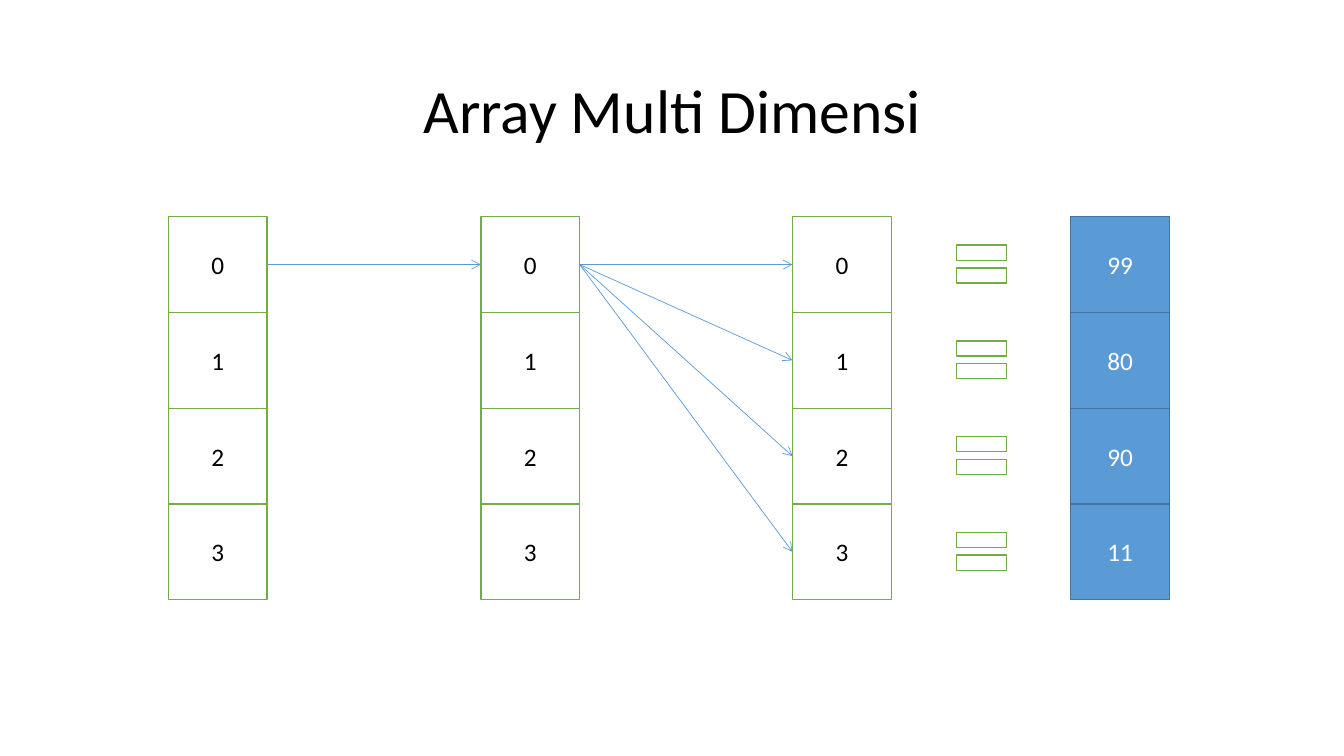
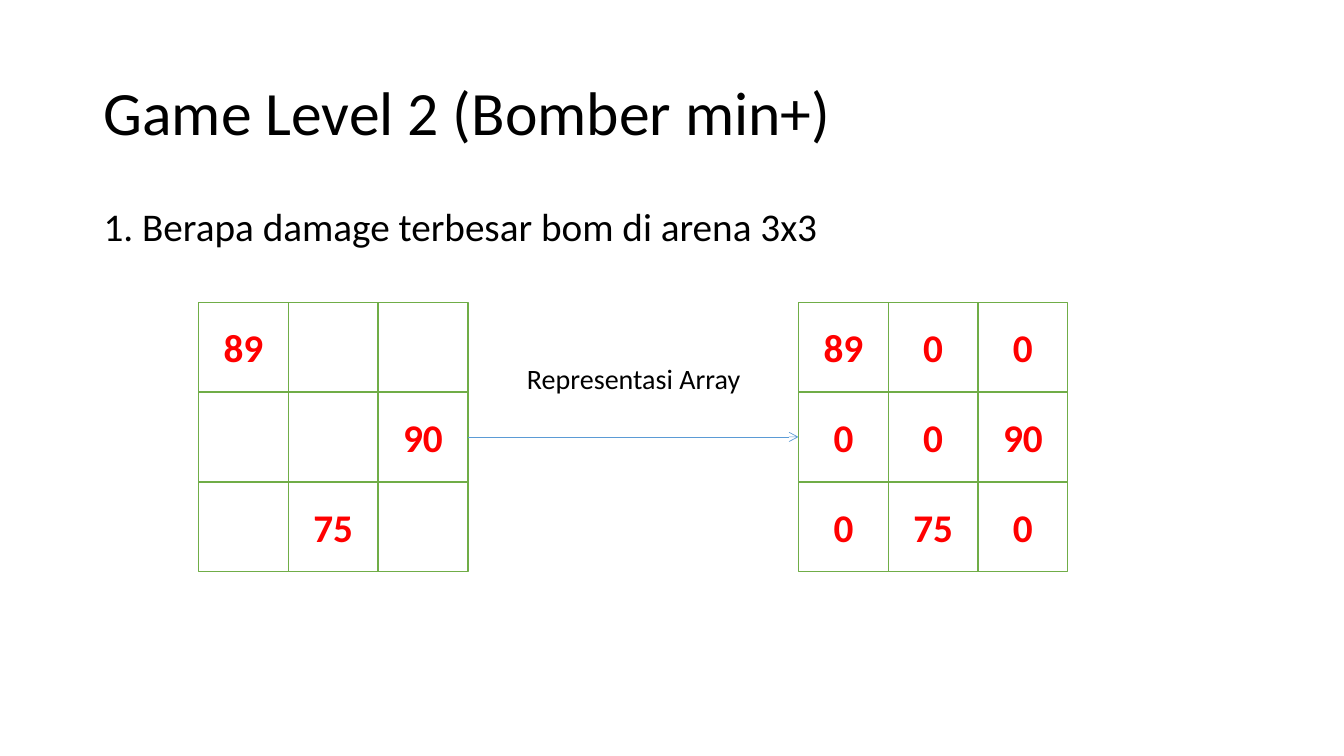
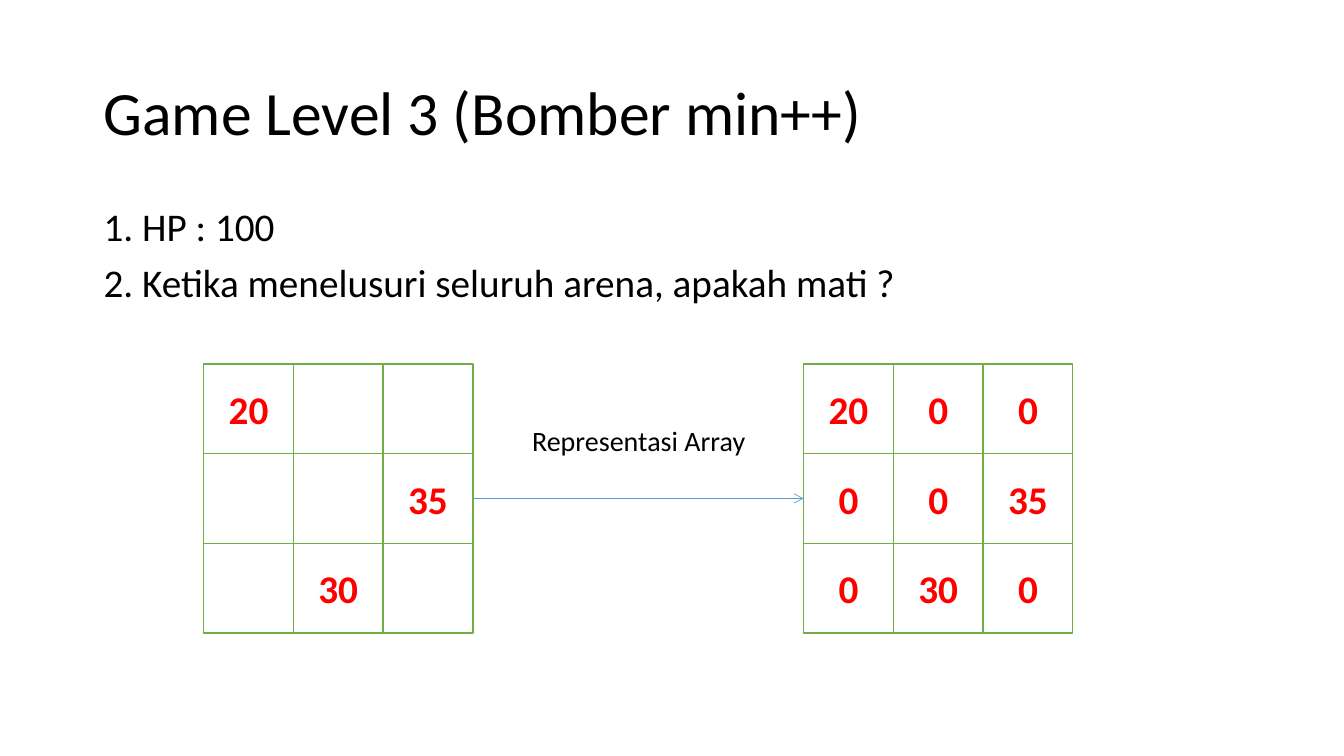
from dataclasses import dataclass

from lxml import etree
from pptx import Presentation
from pptx.dml.color import RGBColor
from pptx.enum import shapes, text
from pptx.oxml import ns
from pptx.util import Inches, Pt

SHAPE = shapes.MSO_SHAPE
LEFT, CENTER = text.PP_ALIGN.LEFT, text.PP_ALIGN.CENTER
TOP, MIDDLE = text.MSO_ANCHOR.TOP, text.MSO_ANCHOR.MIDDLE


@dataclass(frozen=True)
class Theme:
    font: str = "Calibri"
    ink: str = "000000"
    paper: str = "FFFFFF"
    green: str = "70AD47"
    blue: str = "5B9BD5"
    navy: str = "43739E"
    red: str = "FF0000"
    title: int = 44
    body: int = 28
    label: int = 20
    index: int = 18
    edge: float = 1
    wire: float = 0.5


T = Theme()
INDEX = dict(size=T.index, color=T.ink)
VALUE = dict(size=T.index, color=T.paper)
DAMAGE = dict(size=T.body, color=T.red, bold=True)


def rgb(code):
    return RGBColor.from_string(code)


def write(frame, lines, size, color=T.ink, bold=False, align=CENTER,
          anchor=MIDDLE, **para):
    """Fill a text frame, one paragraph for each line."""
    frame.word_wrap = True
    frame.vertical_anchor = anchor
    for i, line in enumerate(lines):
        p = frame.add_paragraph() if i else frame.paragraphs[0]
        for name, value in dict(para, alignment=align).items():
            setattr(p, name, value)
        run = p.add_run()
        run.text = line
        look = dict(name=T.font, size=Pt(size), bold=bold)
        for name, value in look.items():
            setattr(run.font, name, value)
        run.font.color.rgb = rgb(color)


def add_text(slide, box, lines, size, **look):
    area = slide.shapes.add_textbox(*map(Inches, box))
    write(area.text_frame, lines, size, **look)


def add_title(slide, box, words, align=LEFT):
    add_text(slide, box, [words], T.title, align=align, line_spacing=0.9)


def add_cell(parent, kind, box, fill=T.paper, line=T.green):
    cell = parent.shapes.add_shape(kind, *map(Inches, box))
    cell.shadow.inherit = False
    cell.fill.solid()
    cell.fill.fore_color.rgb = rgb(fill)
    cell.line.color.rgb = rgb(line)
    cell.line.width = Pt(T.edge)
    return cell


def add_grid(slide, x, y, w, h, rows, look, **paint):
    """Draw rows of w by h cells from x, y as a group; return the cells."""
    group = slide.shapes.add_group_shape()
    grid = []
    for r, row in enumerate(rows):
        grid.append([])
        for c, word in enumerate(row):
            box = x + c * w, y + r * h, w, h
            cell = add_cell(group, SHAPE.RECTANGLE, box, **paint)
            if word:
                write(cell.text_frame, [word], **look)
            grid[-1].append(cell)
    return grid


def add_arrow(slide, start, end):
    """Join the right side of one cell to the left side of another."""
    wire = slide.shapes.add_connector(
        shapes.MSO_CONNECTOR.STRAIGHT, 0, 0, 0, 0)
    wire.begin_connect(start, 3)
    wire.end_connect(end, 1)
    wire.line.color.rgb = rgb(T.blue)
    wire.line.width = Pt(T.wire)
    etree.SubElement(wire.line._get_or_add_ln(), ns.qn("a:tailEnd"),
                     type="arrow")
    etree.SubElement(wire._element.spPr, ns.qn("a:effectLst"))


def array_slide(slide, words, values):
    """Three index columns, joined by arrows, that lead to the values."""
    add_title(slide, (0.92, 0.4, 11.5, 1.45), words, CENTER)
    top, w, h = 2.15, 0.98, 0.95
    marks = [[str(i)] for i in range(len(values))]
    first, second, third = [
        add_grid(slide, x, top, w, h, marks, INDEX)
        for x in (1.67, 4.77, 7.86)]
    add_arrow(slide, first[0][0], second[0][0])
    for row in third:
        add_arrow(slide, second[0][0], row[0])
    add_grid(slide, 10.62, top, w, h, [[v] for v in values], VALUE,
             fill=T.blue, line=T.navy)
    for i in range(len(values)):
        add_cell(slide, SHAPE.MATH_EQUAL, (9.4, top + 0.15 + i * h, 0.67, 0.64))


def game_slide(slide, words, lines, x, y, arena):
    """An arena at x, y and, to its right, the array that stands for it."""
    add_title(slide, (0.93, 0.42, 11.5, 1.45), words)
    add_text(slide, (0.93, 2.01, 11.5, 4.76), lines, T.body, align=LEFT,
             anchor=TOP, line_spacing=0.9, space_before=Pt(10))
    side = 0.89
    array = [[word or "0" for word in row] for row in arena]
    field = add_grid(slide, x, y, side, side, arena, DAMAGE)
    matrix = add_grid(slide, x + 5.95, y, side, side, array, DAMAGE)
    add_arrow(slide, field[1][-1], matrix[1][0])
    add_text(slide, (x + 3.01, y + 0.54, 2.61, 0.44), ["Representasi Array"],
             T.label, anchor=TOP)


def main():
    deck = Presentation()
    deck.slide_width, deck.slide_height = Inches(13.33), Inches(7.5)
    blank = deck.slide_layouts[6]

    array_slide(deck.slides.add_slide(blank), "Array Multi Dimensi",
                ["99", "80", "90", "11"])
    game_slide(deck.slides.add_slide(blank), "Game Level 2 (Bomber min+)",
               ["1. Berapa damage terbesar bom di arena 3x3"], 1.97, 3,
               [["89", "", ""], ["", "", "90"], ["", "75", ""]])
    game_slide(deck.slides.add_slide(blank), "Game Level 3 (Bomber min++)",
               ["1. HP : 100",
                "2. Ketika menelusuri seluruh arena, apakah mati ?"],
               2.02, 3.61,
               [["20", "", ""], ["", "", "35"], ["", "30", ""]])
    deck.save("out.pptx")


if __name__ == "__main__":
    main()
